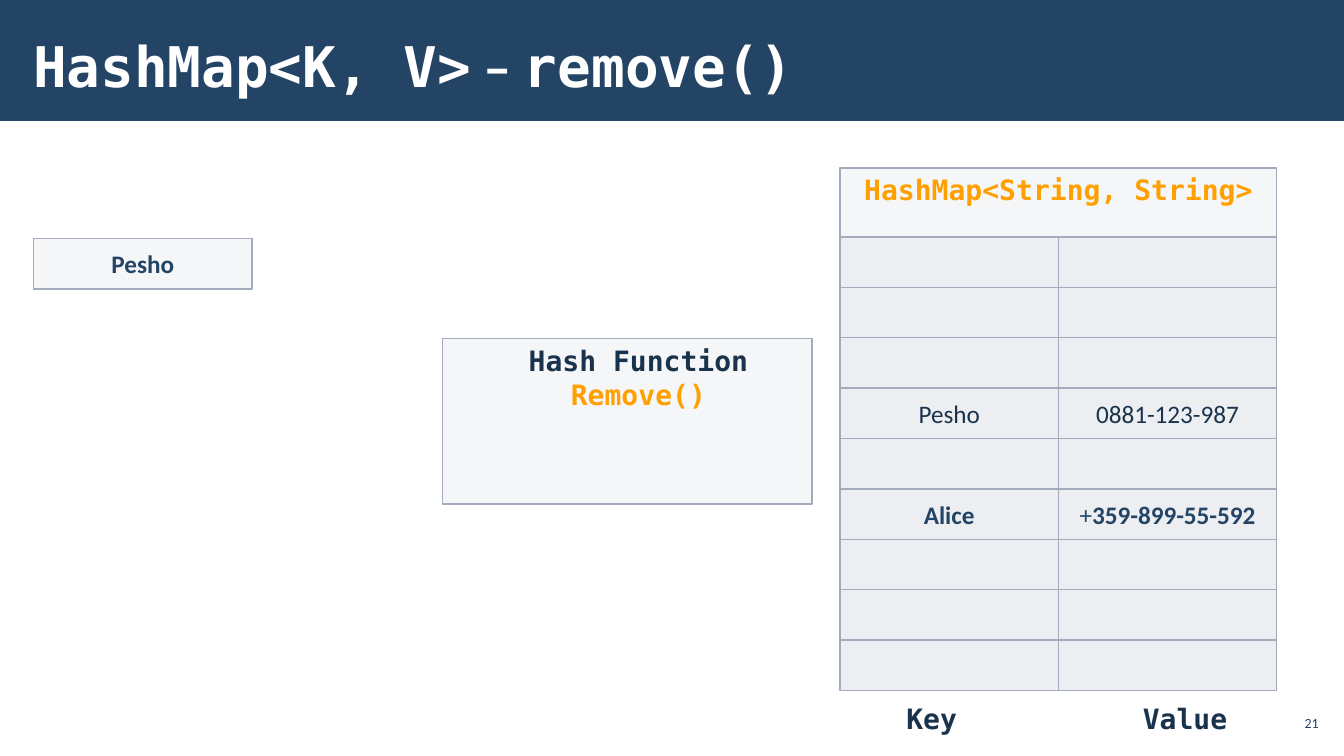
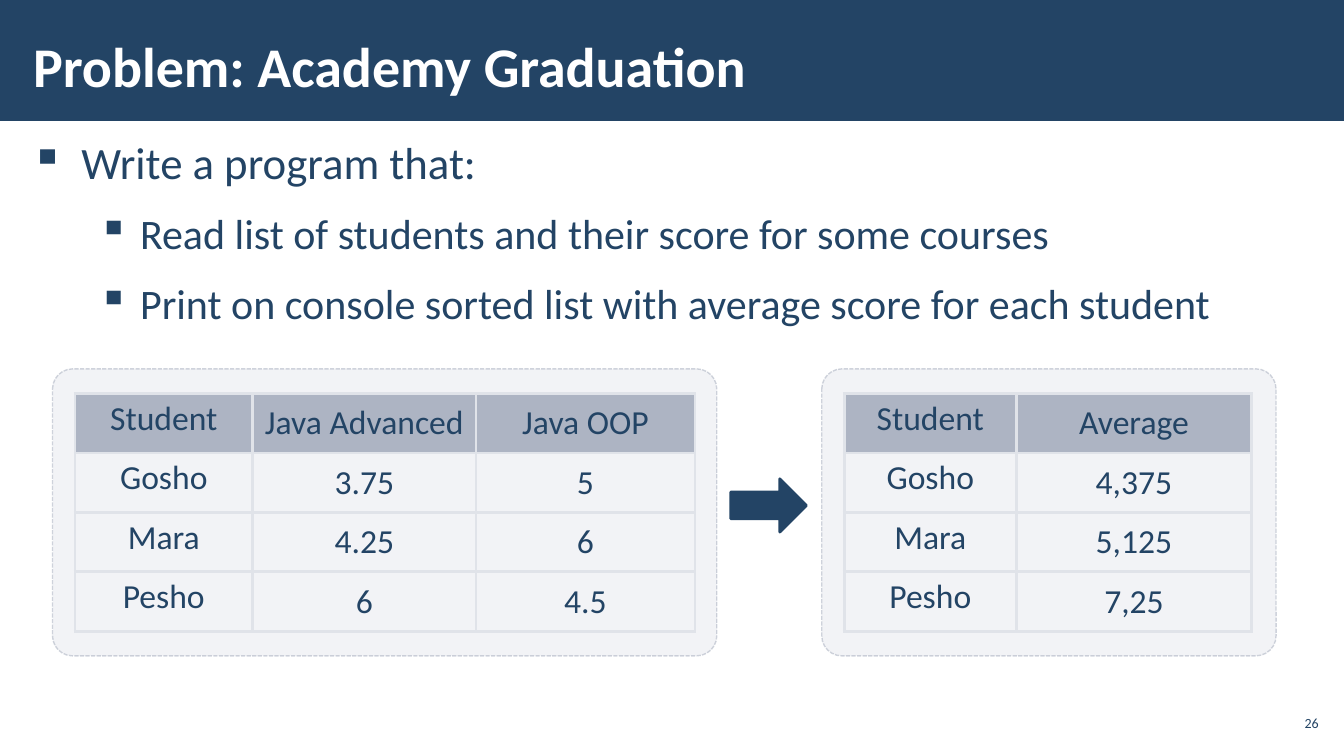
from dataclasses import dataclass

from lxml import etree
from pptx import Presentation
from pptx.dml.color import RGBColor
from pptx.enum import dml, shapes, text
from pptx.oxml import ns
from pptx.util import Pt

# Shared look
NAVY = RGBColor(0x23, 0x44, 0x65)
DARK = RGBColor(0x1A, 0x33, 0x4C)
ORANGE = RGBColor(0xFF, 0xA0, 0x00)
WHITE = RGBColor(0xFF, 0xFF, 0xFF)
PANEL = RGBColor(0xC2, 0xC7, 0xD2)
OUTLINE = RGBColor(0xA3, 0xAB, 0xBC)
HEADER = RGBColor(0xAD, 0xB4, 0xC3)
GRID = RGBColor(0xE0, 0xE3, 0xE9)
SANS, MONO = "Calibri", "DejaVu Sans Mono"
SLIDE_W, SLIDE_H = 960, 540
TOP, MIDDLE = text.MSO_ANCHOR.TOP, text.MSO_ANCHOR.MIDDLE
LEFT, CENTER, RIGHT = text.PP_ALIGN.LEFT, text.PP_ALIGN.CENTER, text.PP_ALIGN.RIGHT


@dataclass
class Span:
    words: str
    size: float = 18
    color: RGBColor = NAVY
    bold: bool = False
    font: str = SANS


def code(words, color=DARK):
    return Span(words, 20, color, True, MONO)


# Text helpers
def add_spans(para, spans, align=LEFT):
    para.alignment = align
    for span in spans:
        run = para.add_run()
        run.text = span.words
        run.font.name = span.font
        run.font.size = Pt(span.size)
        run.font.bold = span.bold
        run.font.color.rgb = span.color


def fill_frame(frame, lines, align=LEFT, anchor=TOP, insets=(7.2, 3.6, 7.2, 3.6)):
    """Write each list of spans as one paragraph."""
    frame.word_wrap = True
    frame.vertical_anchor = anchor
    frame.margin_left, frame.margin_top, frame.margin_right, frame.margin_bottom = map(Pt, insets)
    for index, spans in enumerate(lines):
        para = frame.add_paragraph() if index else frame.paragraphs[0]
        add_spans(para, spans, align)


def add_text(page, box, lines, **style):
    label = page.shapes.add_textbox(*map(Pt, box))
    fill_frame(label.text_frame, lines, **style)
    return label.text_frame


# Shape helpers
def set_alpha(solid_fill, percent):
    alpha = etree.SubElement(solid_fill[0], ns.qn("a:alpha"))
    alpha.set("val", str(percent * 1000))


def add_shape(page, kind, box, fill, line=None, width=1):
    shape = page.shapes.add_shape(kind, *map(Pt, box))
    shape.shadow.inherit = False
    shape.fill.solid()
    shape.fill.fore_color.rgb = fill
    if line is None:
        shape.line.fill.background()
    else:
        shape.line.color.rgb = line
        shape.line.width = Pt(width)
    return shape


def add_panel(page, box, opacity=15, kind=shapes.MSO_SHAPE.RECTANGLE):
    panel = add_shape(page, kind, box, PANEL, OUTLINE)
    set_alpha(panel._element.spPr.find(ns.qn("a:solidFill")), opacity)
    return panel


def add_cell_box(page, box, spans=()):
    cell = add_panel(page, box)
    if spans:
        fill_frame(cell.text_frame, [spans], align=CENTER, anchor=MIDDLE)


# Page frame: title band and number
def add_page(deck, title, number):
    page = deck.slides.add_slide(deck.slide_layouts[6])
    add_shape(page, shapes.MSO_SHAPE.RECTANGLE, (0, 0, SLIDE_W, 86.4), NAVY)
    spans = [Span(words, 40, WHITE, True, font) for words, font in title]
    add_text(page, (15, 3, 754, 87), [spans], anchor=MIDDLE, insets=(8.6, 3, 8.6, 3))
    add_text(page, (911, 504, 34, 24), [[Span(number, 10)]],
             align=RIGHT, anchor=MIDDLE, insets=(3, 3, 3, 3))
    return page


# Hash map: heading panel, grid of entries and captions below
def add_hash_map(page, box, heading, rows, entries, captions):
    left, top, width, height = box
    panel = add_panel(page, box)
    fill_frame(panel.text_frame, [[code(heading, ORANGE)]], align=CENTER)
    row_height, column_width = 36, width / 2
    first_top = top + height - rows * row_height
    for row in range(rows):
        pair = entries.get(row, ((), ()))
        for column, spans in enumerate(pair):
            add_cell_box(page, (left + column * column_width, first_top + row * row_height,
                                column_width, row_height), spans)
    caption_width, pitch = 100, 181
    for side, caption in zip((-0.5, 0.5), captions):
        caption_left = left + width / 2 + side * pitch - caption_width / 2
        add_text(page, (caption_left, top + height + 4, caption_width, 31),
                 [[code(caption)]], align=CENTER)


def build_remove_page(deck):
    page = add_page(deck, [("HashMap<K, V>", MONO), (" – ", SANS), ("remove()", MONO)], "21")
    entries = {
        3: ([Span("Pesho", color=DARK)], [Span("0881-123-987", color=DARK)]),
        5: ([Span("Alice", bold=True)], [Span("+"), Span("359-899-55-592", bold=True)]),
    }
    add_hash_map(page, (600, 120, 312, 373.2), "HashMap<String, String>", 9,
                 entries, ("Key", "Value"))
    hash_box = add_panel(page, (316, 242, 264, 118))
    fill_frame(hash_box.text_frame, [[code("Hash Function")], [code("Remove()", ORANGE)]],
               align=CENTER, insets=(24, 3.6, 8, 3.6))
    add_cell_box(page, (24, 170.5, 156, 36), [Span("Pesho", bold=True)])


# Bulleted list
def add_bullets(page, box, items):
    levels = ((32, 36, 36), (30, 78, 30))  # size, indent, hang
    lines = [[Span(words, levels[level][0])] for level, words in items]
    frame = add_text(page, box, lines)
    for para, (level, _) in zip(frame.paragraphs, items):
        _, indent, hang = levels[level]
        para.level = level
        para.line_spacing = 1.05
        para.space_before = para.space_after = Pt(6)
        props = para._p.get_or_add_pPr()
        props.set("marL", str(Pt(indent)))
        props.set("indent", str(-Pt(hang)))
        etree.SubElement(props, ns.qn("a:buChar")).set("char", "▪")


# Score table on a rounded, dashed card
def set_borders(cell, color, width):
    props = cell._tc.get_or_add_tcPr()
    for index, side in enumerate(("lnL", "lnR", "lnT", "lnB")):
        line = etree.Element(ns.qn("a:" + side), w=str(Pt(width)))
        solid = etree.SubElement(line, ns.qn("a:solidFill"))
        etree.SubElement(solid, ns.qn("a:srgbClr")).set("val", str(color))
        props.insert(index, line)


def add_score_card(page, box, inset, widths, rows):
    left, top, _, height = box
    card = add_panel(page, box, 20, shapes.MSO_SHAPE.ROUNDED_RECTANGLE)
    card.adjustments[0] = 0.07
    card.line.dash_style = dml.MSO_LINE.SQUARE_DOT
    set_alpha(card._element.spPr.find(ns.qn("a:ln")).find(ns.qn("a:solidFill")), 50)

    row_height = 42.5
    table_height = row_height * len(rows)
    table = page.shapes.add_table(
        len(rows), len(widths), Pt(left + inset), Pt(top + (height - table_height) / 2),
        Pt(sum(widths)), Pt(table_height)).table
    table.first_row = table.horz_banding = False
    for column, width in zip(table.columns, widths):
        column.width = Pt(width)
    for r, values in enumerate(rows):
        table.rows[r].height = Pt(row_height)
        for c, value in enumerate(values):
            cell = table.cell(r, c)
            if r == 0:
                cell.fill.solid()
                cell.fill.fore_color.rgb = HEADER
            else:
                cell.fill.background()
            cell.vertical_anchor = MIDDLE if c else TOP
            add_spans(cell.text_frame.paragraphs[0], [Span(value, 24)], CENTER)
            set_borders(cell, GRID, 2.25)


def build_problem_page(deck):
    page = add_page(deck, [("Problem: Academy Graduation", SANS)], "26")
    add_bullets(page, (15, 90.7, 930, 165), [
        (0, "Write a program that:"),
        (1, "Read list of students and their score for some courses"),
        (1, "Print on console sorted list with average score for each student"),
    ])
    add_score_card(page, (37.5, 263.5, 474.5, 205), 16, (127, 159.5, 156.5), [
        ("Student", "Java Advanced", "Java OOP"),
        ("Gosho", "3.75", "5"),
        ("Mara", "4.25", "6"),
        ("Pesho", "6", "4.5"),
    ])
    add_score_card(page, (587, 263.5, 324.5, 205), 16, (123, 168), [
        ("Student", "Average"),
        ("Gosho", "4,375"),
        ("Mara", "5,125"),
        ("Pesho", "7,25"),
    ])
    add_shape(page, shapes.MSO_SHAPE.RIGHT_ARROW, (522, 342, 54, 38), NAVY, NAVY, 2)


def main():
    deck = Presentation()
    deck.slide_width, deck.slide_height = Pt(SLIDE_W), Pt(SLIDE_H)
    build_remove_page(deck)
    build_problem_page(deck)
    deck.save("out.pptx")


if __name__ == "__main__":
    main()
